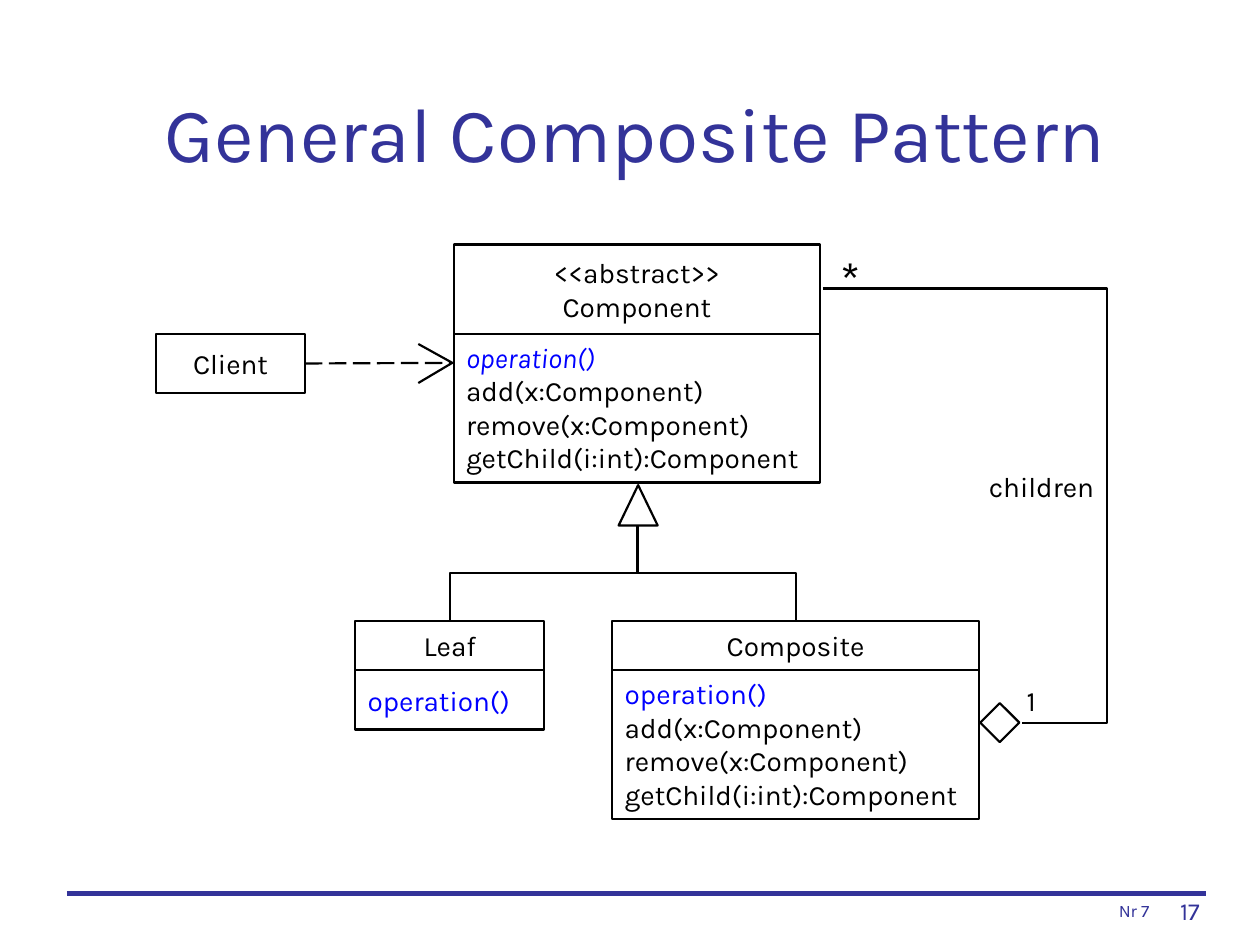
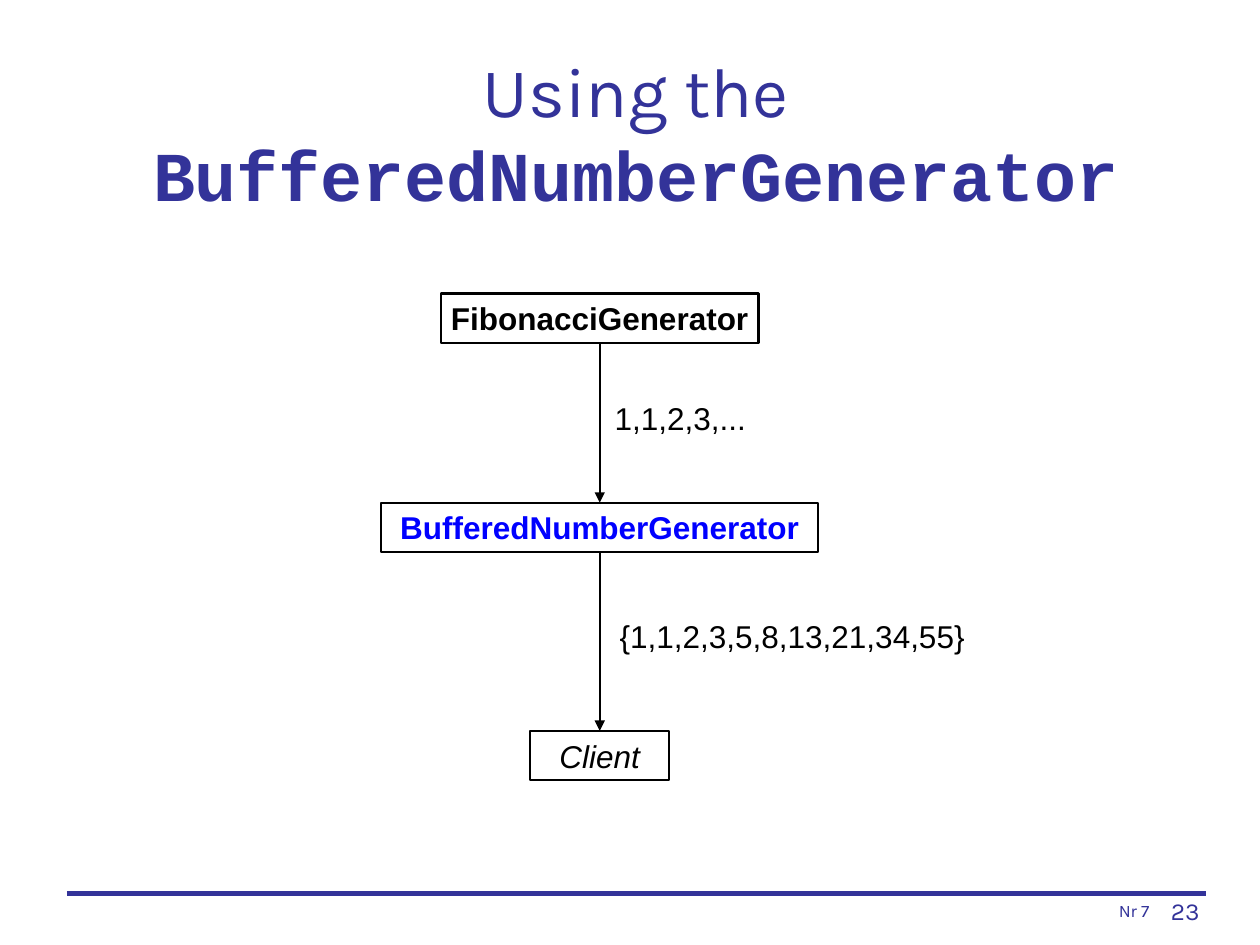
from lxml.etree import SubElement
from pptx import Presentation
from pptx.dml.color import RGBColor
from pptx.enum.dml import MSO_LINE
from pptx.enum.shapes import MSO_CONNECTOR as CONNECTOR, MSO_SHAPE as SHAPE
from pptx.enum.text import MSO_ANCHOR as ANCHOR, PP_ALIGN as ALIGN
from pptx.oxml.ns import qn
from pptx.util import Inches, Pt

NAVY = RGBColor(0x33, 0x33, 0x99)
BLUE = RGBColor(0x00, 0x00, 0xFF)
BLACK = RGBColor(0x00, 0x00, 0x00)
OUTLINE = Pt(1.25)


def add_text(slide, box, lines, size, font="Karla", color=BLACK, align=ALIGN.LEFT,
             anchor=ANCHOR.TOP, outlined=False, wrap=True):
    lengths = [Inches(value) for value in box]
    if outlined:
        shape = slide.shapes.add_shape(SHAPE.RECTANGLE, *lengths)
        shape.shadow.inherit = False
        shape.fill.background()
        shape.line.color.rgb = BLACK
        shape.line.width = OUTLINE
    else:
        shape = slide.shapes.add_textbox(*lengths)
    frame = shape.text_frame
    frame.word_wrap = wrap
    frame.vertical_anchor = anchor
    frame.text = "\n".join(lines)
    for paragraph in frame.paragraphs:
        paragraph.alignment = align
        paragraph.font.size = Pt(size)
        paragraph.font.name = font
        paragraph.font.color.rgb = color
    return shape


def add_line(slide, start, end, kind=CONNECTOR.STRAIGHT, color=BLACK, width=OUTLINE):
    line = slide.shapes.add_connector(kind, *[Inches(value) for value in (*start, *end)])
    line.line.color.rgb = color
    line.line.width = width
    SubElement(line._element.spPr, qn("a:effectLst"))
    return line


presentation = Presentation()
presentation.slide_width = Inches(10)
presentation.slide_height = Inches(7.5)

slides = []
for number, title_size, title_parts in [
    ("17", 44, ["General Composite Pattern"]),
    ("23", 40, ["Using the ", "BufferedNumberGenerator"]),
]:
    slide = presentation.slides.add_slide(presentation.slide_layouts[6])
    add_text(slide, (9.08, 7.06, 0.54, 0.33), [number], 14, color=NAVY, align=ALIGN.RIGHT)
    add_line(slide, (0.53, 7.09), (9.57, 7.09), color=NAVY, width=Pt(3))
    add_text(slide, (7.44, 7.06, 1.78, 0.3), ["Nr 7"], 10, color=NAVY,
             align=ALIGN.RIGHT, anchor=ANCHOR.BOTTOM)
    title = add_text(slide, (0.51, 0.42, 9.07, 1.25), title_parts[:1], title_size,
                     color=NAVY, align=ALIGN.CENTER, anchor=ANCHOR.MIDDLE)
    for class_name in title_parts[1:]:
        run = title.text_frame.paragraphs[0].add_run()
        run.text = class_name
        run.font.name = "Courier New"
        run.font.bold = True
    slides.append(slide)

pattern_slide, usage_slide = slides

client = add_text(pattern_slide, (1.24, 2.65, 1.18, 0.47), ["Client"], 16,
                  align=ALIGN.CENTER, anchor=ANCHOR.MIDDLE, outlined=True)

child_methods = ["add(x:Component)", "remove(x:Component)", "getChild(i:int):Component"]
for names, left, top, width, name_height, body_height, methods, anchor in [
    (["<<abstract>>", "Component"], 3.6, 1.94, 2.91, 0.71, 1.18, child_methods, ANCHOR.TOP),
    (["Composite"], 4.86, 4.93, 2.91, 0.39, 1.18, child_methods, ANCHOR.TOP),
    (["Leaf"], 2.82, 4.93, 1.5, 0.39, 0.47, [], ANCHOR.MIDDLE),
]:
    add_text(pattern_slide, (left, top, width, name_height), names, 16,
             align=ALIGN.CENTER, anchor=ANCHOR.MIDDLE, outlined=True)
    body = add_text(pattern_slide, (left, top + name_height, width, body_height),
                    ["operation()", *methods], 16, anchor=anchor, outlined=True)
    operation = body.text_frame.paragraphs[0]
    operation.font.color.rgb = BLUE
    operation.font.italic = "<<abstract>>" in names

arrow = pattern_slide.shapes.build_freeform(Inches(3.32), Inches(2.73))
arrow.add_line_segments([(Inches(3.59), Inches(2.88)), (Inches(3.32), Inches(3.04))], close=False)
symbols = [arrow.convert_to_shape()]
for kind, left, top, width, height in [
    (SHAPE.ISOSCELES_TRIANGLE, 4.91, 3.85, 0.31, 0.32),
    (SHAPE.DIAMOND, 7.78, 5.58, 0.31, 0.31),
]:
    symbols.append(pattern_slide.shapes.add_shape(
        kind, Inches(left), Inches(top), Inches(width), Inches(height)))
for symbol in symbols:
    symbol.shadow.inherit = False
    symbol.fill.background()
    symbol.line.color.rgb = BLACK
    symbol.line.width = OUTLINE

parent_x, parent_y, child_y = 5.06, 4.17, 4.92
half_drop = (child_y - parent_y) / 2
for child_x in (3.57, 6.32):
    center_x, center_y = (child_x + parent_x) / 2, (child_y + parent_y) / 2
    half_run = (child_x - parent_x) / 2
    branch = add_line(pattern_slide, (center_x + half_drop, center_y - half_run),
                      (center_x - half_drop, center_y + half_run), CONNECTOR.ELBOW)
    branch._element.spPr.find(qn("a:xfrm")).set("rot", str(90 * 60000))

dependency = add_line(pattern_slide, (2.42, 2.88), (3.58, 2.88))
dependency.begin_connect(client, 3)
dependency.line.dash_style = MSO_LINE.LONG_DASH

children_link = add_line(pattern_slide, (6.53, 2.29), (8.11, 5.74), CONNECTOR.ELBOW)
adjustments = children_link._element.spPr.find(qn("a:prstGeom")).find(qn("a:avLst"))
SubElement(adjustments, qn("a:gd"), name="adj1", fmla="val 142900")

for label, left, top, height, size in [
    ("*", 6.57, 1.92, 0.57, 28),
    ("1", 8.05, 5.38, 0.37, 16),
    ("children", 7.75, 3.68, 0.37, 16),
]:
    add_text(pattern_slide, (left, top, 1.1, height), [label], size)

stage_center = 4.76
stages = []
for name, top, width, color, bold, italic in [
    ("FibonacciGenerator", 2.33, 2.52, BLACK, True, False),
    ("BufferedNumberGenerator", 3.99, 3.47, BLUE, True, False),
    ("Client", 5.8, 1.1, BLACK, False, True),
]:
    stage = add_text(usage_slide, (stage_center - width / 2, top, width, 0.39), [name], 18,
                     "Arial", color, ALIGN.CENTER, ANCHOR.MIDDLE, outlined=True, wrap=False)
    stage.text_frame.paragraphs[0].font.bold = bold
    stage.text_frame.paragraphs[0].font.italic = italic
    stages.append(stage)

for source, target in zip(stages, stages[1:]):
    flow = add_line(usage_slide, (stage_center, 2.72), (stage_center, 3.99))
    flow.begin_connect(source, 2)
    flow.end_connect(target, 0)
    SubElement(flow.line._get_or_add_ln(), qn("a:tailEnd"), type="triangle")

for values, left, top, width in [
    ("1,1,2,3,...", 4.78, 3.12, 1.24),
    ("{1,1,2,3,5,8,13,21,34,55}", 4.82, 4.85, 2.94),
]:
    add_text(usage_slide, (left, top, width, 0.4), [values], 18, "Arial", wrap=False)

presentation.save("out.pptx")
